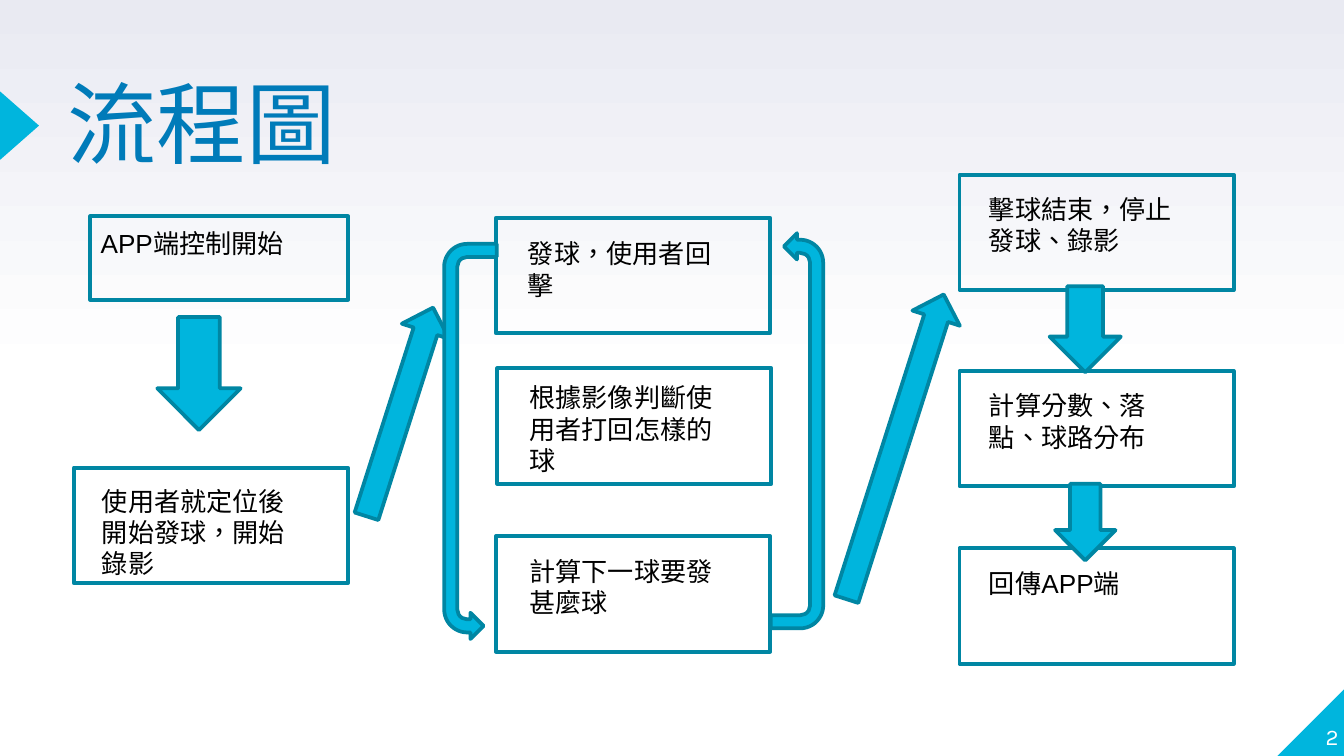
"""Builds a flow chart slide for a ball-serving training app."""
import copy

import pptx
import pptx.dml.color
import pptx.enum.lang
import pptx.enum.shapes
import pptx.enum.text
import pptx.oxml.ns
import pptx.util

Inches = pptx.util.Inches
Shape = pptx.enum.shapes.MSO_SHAPE
Anchor = pptx.enum.text.MSO_ANCHOR
Align = pptx.enum.text.PP_ALIGN
Language = pptx.enum.lang.MSO_LANGUAGE_ID
RGBColor = pptx.dml.color.RGBColor

CYAN = RGBColor(0x00, 0xB5, 0xDD)
TEAL = RGBColor(0x00, 0x86, 0xA3)
BLUE = RGBColor(0x00, 0x7B, 0xB9)
LAVENDER = RGBColor(0xE9, 0xEA, 0xF2)
WHITE = RGBColor(0xFF, 0xFF, 0xFF)
BLACK = RGBColor(0x00, 0x00, 0x00)

STEP_SIZE = (2.04, 0.86)
STEPS = [
    ((0.67, 1.61, 1.92, 0.62), (0.65, 1.64, 1.58, 0.57), "APP端控制開始"),
    ((0.55, 3.48, *STEP_SIZE), (0.66, 3.56, 1.75, 0.81), "使用者就定位後開始發球，開始錄影"),
    ((3.69, 1.62, *STEP_SIZE), (3.83, 1.72, 1.75, 0.57), "發球，使用者回擊"),
    ((3.7, 2.74, *STEP_SIZE), (3.84, 2.79, 1.75, 0.81), "根據影像判斷使用者打回怎樣的球"),
    ((3.69, 3.99, *STEP_SIZE), (3.84, 4.08, 1.75, 0.57), "計算下一球要發甚麼球"),
    ((7.14, 1.3, *STEP_SIZE), (7.26, 1.39, 1.75, 0.57), "擊球結束，停止發球、錄影"),
    ((7.14, 2.76, *STEP_SIZE), (7.26, 2.85, 1.75, 0.57), "計算分數、落點、球路分布"),
    ((7.14, 4.08, *STEP_SIZE), (7.26, 4.17, 1.75, 0.34), "回傳APP端"),
]
ARROWS = [
    (Shape.DOWN_ARROW, (1.17, 2.36, 0.62, 0.84), 0, None),
    (Shape.RIGHT_ARROW, (2.16, 2.88, 1.63, 0.37), 287.7, None),
    (Shape.U_TURN_ARROW, (4.46, 3.01, 2.94, 0.39), 90, "flipH"),
    (Shape.U_TURN_ARROW, (2.03, 3.09, 2.94, 0.39), 90, "flipV"),
    (Shape.RIGHT_ARROW, (5.47, 3.14, 2.38, 0.37), 287.7, None),
    (Shape.DOWN_ARROW, (7.81, 2.13, 0.53, 0.64), 0, None),
    (Shape.DOWN_ARROW, (7.85, 3.6, 0.45, 0.57), 0, None),
]


class FlowSlide:
    """Holds the style and the page that is being drawn."""

    def __init__(self, page, font="Arial", size=14):
        self.page = page
        self.font = font
        self.size = size

    def background(self, colors):
        """Fill the page with a gradient of evenly spaced colours from bottom to top."""
        fill = self.page.background.fill
        fill.gradient()
        fill.gradient_angle = 90
        first = next(self.page.element.iter(pptx.oxml.ns.qn("a:gs")))
        for _ in colors[2:]:
            first.addnext(copy.deepcopy(first))
        for index, (stop, color) in enumerate(zip(fill.gradient_stops, colors)):
            stop.color.rgb = color
            stop.position = index / (len(colors) - 1)

    def shape(self, kind, place, fill=None, line=None, rotation=0, flip=None):
        """Draw a preset shape."""
        shape = self.page.shapes.add_shape(kind, *map(Inches, place))
        shape.shadow.inherit = False
        shape.rotation = rotation
        if flip:
            shape.element.spPr.xfrm.set(flip, "1")
        if fill is None:
            shape.fill.background()
        else:
            shape.fill.solid()
            shape.fill.fore_color.rgb = fill
        if line is None:
            shape.line.fill.background()
        else:
            shape.line.color.rgb = line
            shape.line.width = pptx.util.Pt(2)

    def text(self, place, words, font=None, size=None, color=BLACK, inset=True,
             anchor=Anchor.TOP, align=Align.LEFT, spacing=None):
        """Write one paragraph in a wrapping text box."""
        frame = self.page.shapes.add_textbox(*map(Inches, place)).text_frame
        frame.word_wrap = True
        frame.vertical_anchor = anchor
        if not inset:
            frame.margin_left = frame.margin_right = 0
            frame.margin_top = frame.margin_bottom = 0
        frame.text = words
        para = frame.paragraphs[0]
        para.alignment = align
        para.line_spacing = spacing
        para._p.get_or_add_pPr().set("hangingPunct", "0")
        for span in para.runs:
            span.font.name = font or self.font
            span.font.size = pptx.util.Pt(size or self.size)
            span.font.color.rgb = color
            span.font.language_id = Language.TRADITIONAL_CHINESE

    def step(self, place, text_place, words):
        """Draw an outlined step with its wording."""
        self.shape(Shape.RECTANGLE, place, line=TEAL)
        self.text(text_place, words)

    def arrow(self, kind, place, rotation, flip):
        """Draw a filled block arrow."""
        self.shape(kind, place, CYAN, TEAL, rotation, flip)


def main():
    """Build and save the deck."""
    deck = pptx.Presentation()
    deck.slide_width = Inches(10)
    deck.slide_height = deck.slide_width * 9 // 16
    slide = FlowSlide(deck.slides.add_slide(deck.slide_layouts[6]))

    slide.background([WHITE, WHITE, LAVENDER])
    slide.shape(Shape.RIGHT_TRIANGLE, (9.5, 5.12, 0.51, 0.51), CYAN, flip="flipH")
    slide.shape(Shape.ISOSCELES_TRIANGLE, (-0.11, 0.79, 0.51, 0.29), CYAN, rotation=90)
    slide.text((0.5, 0.66, 6.17, 1.18), "流程圖", "Manrope", 48, BLUE,
               inset=False, spacing=0.8)
    for step in STEPS:
        slide.step(*step)
    for arrow in ARROWS:
        slide.arrow(*arrow)
    slide.text((9.46, 5.07, 0.5, 0.51), "2", "Karla", 12, WHITE,
               inset=False, anchor=Anchor.BOTTOM, align=Align.RIGHT)

    deck.save("out.pptx")


if __name__ == "__main__":
    main()
